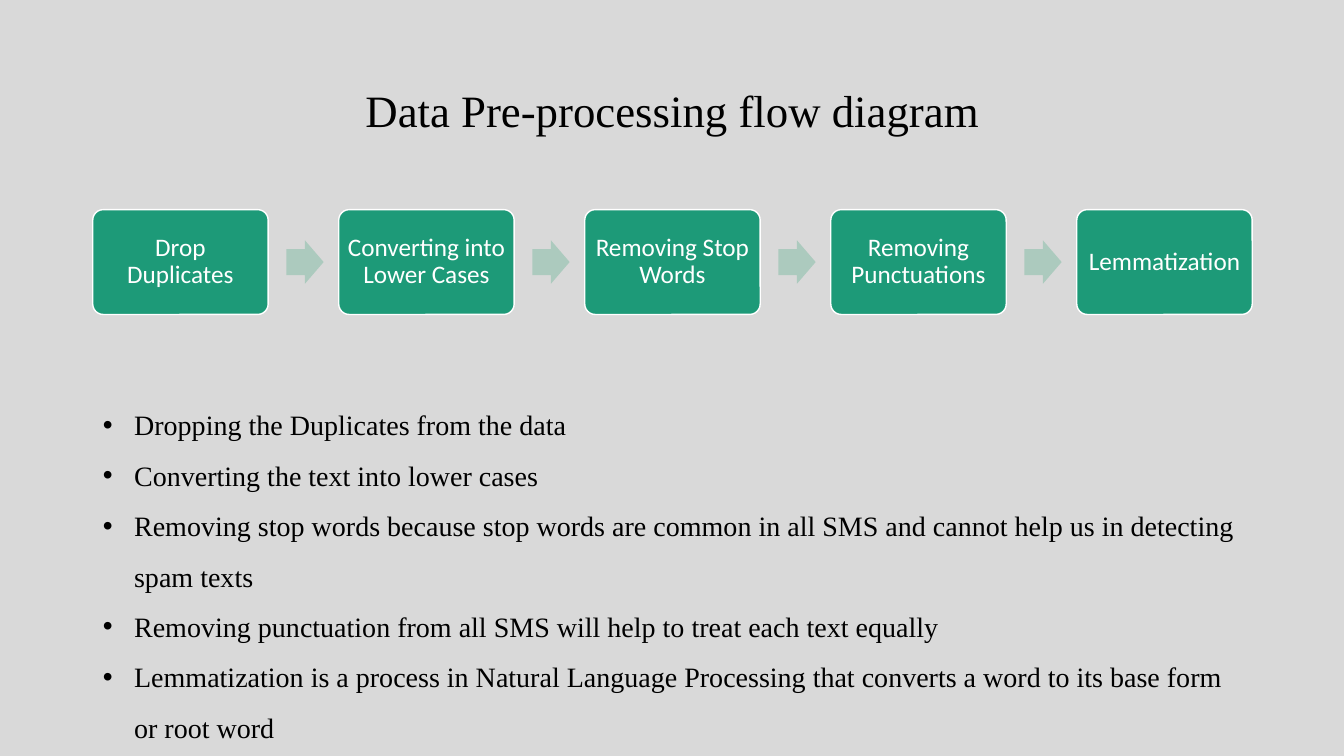
from pptx import Presentation
from pptx.dml.color import RGBColor
from pptx.enum import shapes, text
from pptx.util import Inches, Pt

GREY = RGBColor(0xD9, 0xD9, 0xD9)
GREEN = RGBColor(0x1D, 0x9A, 0x78)
PALE = RGBColor(0xAC, 0xCA, 0xBE)
WHITE = RGBColor(0xFF, 0xFF, 0xFF)
BLACK = RGBColor(0, 0, 0)
SERIF = "Times New Roman"

LEFT, WIDTH = 0.92, 11.5
BOX_W, BOX_H, BOX_TOP = 1.74, 1.04, 2.08
ARROW_W, ARROW_H, ARROW_GAP = 0.37, 0.43, 0.18

STEPS = [
    "Drop Duplicates",
    "Converting into Lower Cases",
    "Removing Stop Words",
    "Removing Punctuations",
    "Lemmatization",
]
NOTES = [
    "Dropping the Duplicates from the data",
    "Converting the text into lower cases",
    "Removing stop words because stop words are common in all SMS "
    "and cannot help us in detecting spam texts",
    "Removing punctuation from all SMS will help to treat each text equally",
    "Lemmatization is a process in Natural Language Processing that "
    "converts a word to its base form or root word",
]


def write(shape, lines, font=SERIF, size=20, color=BLACK, align=None,
          anchor=text.MSO_ANCHOR.MIDDLE, spacing=0.9, inset=None, indent=None):
    frame = shape.text_frame
    frame.word_wrap = True
    frame.auto_size = text.MSO_AUTO_SIZE.NONE
    frame.vertical_anchor = anchor
    if inset is not None:
        frame.margin_left = frame.margin_right = Inches(inset)
        frame.margin_top = frame.margin_bottom = Inches(inset)
    frame.text = "\n".join(lines)
    for para in frame.paragraphs:
        para.alignment = align
        para.line_spacing = spacing
        para.space_before = Pt(0)
        if indent:
            props = para._p.get_or_add_pPr()
            props.set("marL", str(Inches(indent)))
            props.set("indent", str(-Inches(indent)))
        for run in para.runs:
            run.font.name = font
            run.font.size = Pt(size)
            run.font.color.rgb = color


def place(shape, x, y, w, h):
    shape.left, shape.top = Inches(x), Inches(y)
    shape.width, shape.height = Inches(w), Inches(h)


def block(slide, kind, x, y, w, h, fill, adjust):
    shape = slide.shapes.add_shape(kind, Inches(x), Inches(y),
                                   Inches(w), Inches(h))
    shape.shadow.inherit = False
    shape.fill.solid()
    shape.fill.fore_color.rgb = fill
    shape.line.fill.background()
    for i, value in enumerate(adjust):
        shape.adjustments[i] = value
    return shape


def step(slide, x, label):
    box = block(slide, shapes.MSO_SHAPE.ROUNDED_RECTANGLE,
                x, BOX_TOP, BOX_W, BOX_H, GREEN, [0.1])
    box.line.color.rgb = WHITE
    box.line.width = Pt(1)
    # The rounded corners already narrow the text area a little
    write(box, [label], font="Calibri", size=18, color=WHITE,
          align=text.PP_ALIGN.CENTER, inset=0.06)


def arrow(slide, x):
    y = BOX_TOP + (BOX_H - ARROW_H) / 2
    block(slide, shapes.MSO_SHAPE.RIGHT_ARROW,
          x, y, ARROW_W, ARROW_H, PALE, [0.6, 0.5])


def main():
    deck = Presentation()
    deck.slide_width, deck.slide_height = Inches(13.33), Inches(7.5)
    slide = deck.slides.add_slide(deck.slide_layouts[1])
    slide.background.fill.solid()
    slide.background.fill.fore_color.rgb = GREY

    # Title
    title = slide.shapes.title
    place(title, LEFT, 0.4, WIDTH, 1.45)
    write(title, ["Data Pre-processing flow diagram"], size=32,
          align=text.PP_ALIGN.CENTER)

    # Flow of steps, with an arrow before each step but the first
    pitch = (WIDTH - BOX_W) / (len(STEPS) - 1)
    for i, label in enumerate(STEPS):
        x = LEFT + i * pitch
        if i:
            arrow(slide, x - pitch + BOX_W + ARROW_GAP)
        step(slide, x, label)

    # Explanations
    body = slide.placeholders[1]
    place(body, LEFT, 3.83, WIDTH, 4.08)
    write(body, NOTES, anchor=text.MSO_ANCHOR.TOP, spacing=1.5, indent=0.31)

    deck.save("out.pptx")


if __name__ == "__main__":
    main()
